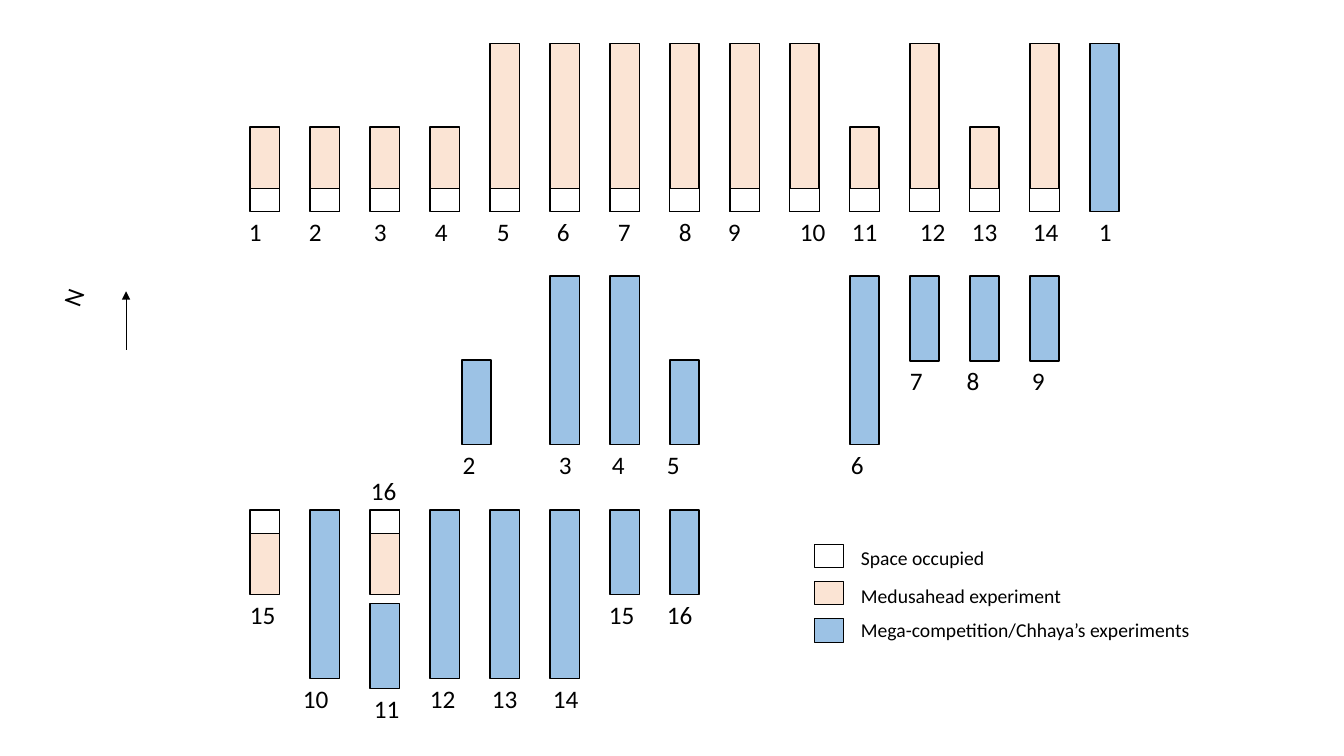
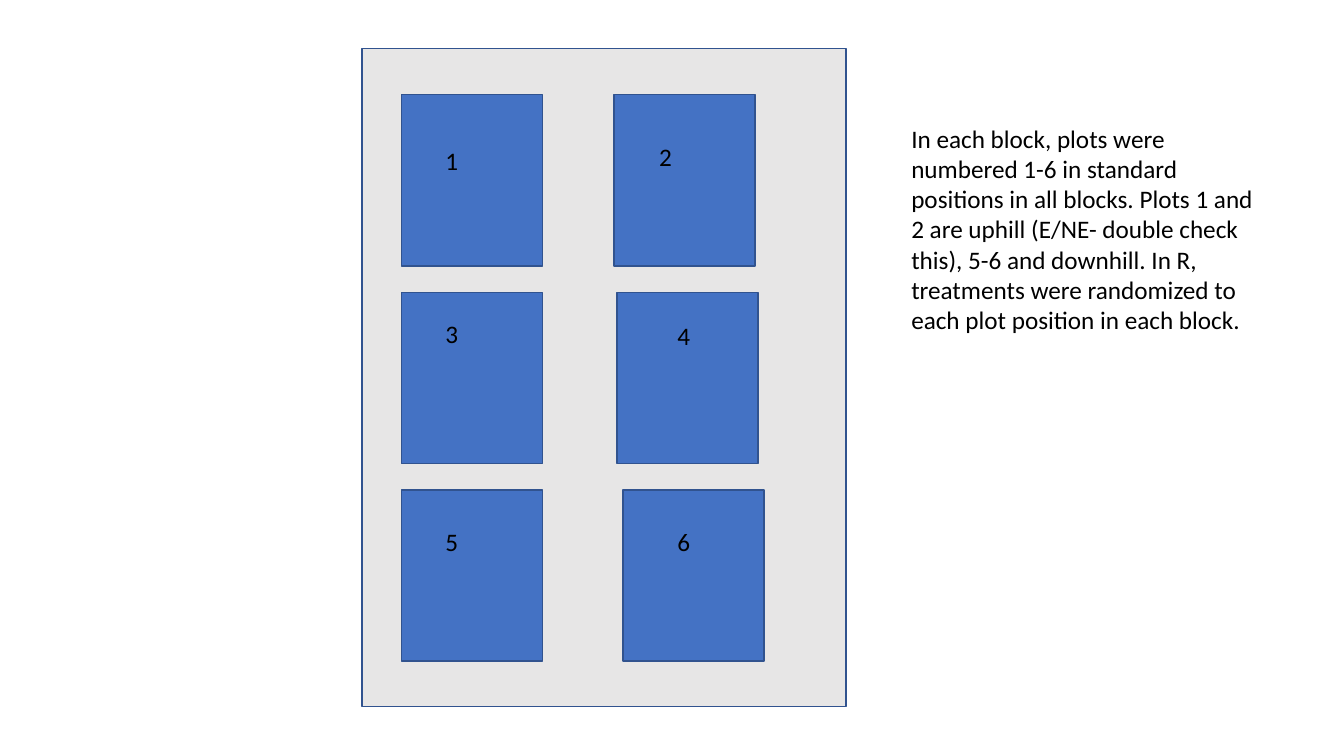
from lxml import etree
from pptx import Presentation
from pptx.dml.color import RGBColor
from pptx.enum.shapes import MSO_CONNECTOR, MSO_SHAPE
from pptx.oxml.ns import qn
from pptx.util import Inches, Pt

BLACK = RGBColor(0x00, 0x00, 0x00)
WHITE = RGBColor(0xFF, 0xFF, 0xFF)
PEACH = RGBColor(0xFB, 0xE4, 0xD4)
SKY = RGBColor(0x9C, 0xC2, 0xE5)
BLUE = RGBColor(0x44, 0x72, 0xC4)
NAVY = RGBColor(0x31, 0x53, 0x8F)
GREY = RGBColor(0xE7, 0xE6, 0xE6)
FONT = "Calibri"


def add_box(slide, left, top, width, height, fill, outline=BLACK, weight=1):
    box = slide.shapes.add_shape(MSO_SHAPE.RECTANGLE, Inches(left), Inches(top),
                                 Inches(width), Inches(height))
    box.shadow.inherit = False
    box.fill.solid()
    box.fill.fore_color.rgb = fill
    box.line.color.rgb = outline
    box.line.width = Pt(weight)


def add_label(slide, text, left, top, width=0.47, height=0.4, size=18):
    label = slide.shapes.add_textbox(Inches(left), Inches(top), Inches(width), Inches(height))
    label.text_frame.word_wrap = True
    label.text_frame.text = text
    font = label.text_frame.paragraphs[0].runs[0].font
    font.name = FONT
    font.size = Pt(size)
    font.color.rgb = BLACK
    return label


prs = Presentation()
prs.slide_width = Inches(13.33)
prs.slide_height = Inches(7.5)
blank_layout = prs.slide_layouts[6]

# Slide 1: field map, blocks standing on a grid of 15 columns
field_map = prs.slides.add_slide(blank_layout)
FIRST_COLUMN = 2.48
PITCH = (10.81 - FIRST_COLUMN) / 14
BLOCK_WIDTH = 0.29
LONG, SHORT = 1.67, 0.84
OCCUPIED = 0.23
NORTH, MIDDLE, SOUTH = 0.43, 2.74, 5.06
NORTH_SHORT = NORTH + LONG - SHORT
MIDDLE_SHORT = MIDDLE + LONG - SHORT

# column, top, length, number, shift of the number from the block's left edge
medusahead_blocks = [
    (0, NORTH_SHORT, SHORT, 1, -0.11),
    (1, NORTH_SHORT, SHORT, 2, -0.11),
    (2, NORTH_SHORT, SHORT, 3, -0.06),
    (3, NORTH_SHORT, SHORT, 4, -0.05),
    (4, NORTH, LONG, 5, -0.03),
    (5, NORTH, LONG, 6, -0.03),
    (6, NORTH, LONG, 7, -0.02),
    (7, NORTH, LONG, 8, -0.01),
    (8, NORTH, LONG, 9, -0.12),
    (9, NORTH, LONG, 10, 0),
    (10, NORTH_SHORT, SHORT, 11, -0.08),
    (11, NORTH, LONG, 12, 0),
    (12, NORTH_SHORT, SHORT, 13, -0.08),
    (13, NORTH, LONG, 14, -0.07),
    (0, SOUTH, SHORT, 15, -0.1),
    (2, SOUTH, SHORT, 16, -0.09),
]
competition_blocks = [
    (14, NORTH, LONG, 1, -0.01),
    (3.53, MIDDLE_SHORT, SHORT, 2, -0.09),
    (5, MIDDLE, LONG, 3, -0.01),
    (6, MIDDLE, LONG, 4, -0.08),
    (7, MIDDLE_SHORT, SHORT, 5, -0.13),
    (10, MIDDLE, LONG, 6, -0.09),
    (11, MIDDLE, SHORT, 7, -0.1),
    (12, MIDDLE, SHORT, 8, -0.13),
    (13, MIDDLE, SHORT, 9, -0.08),
    (1, SOUTH, LONG, 10, -0.17),
    (2, SOUTH + 0.93, SHORT, 11, -0.06),
    (3, SOUTH, LONG, 12, -0.1),
    (4, SOUTH, LONG, 13, -0.08),
    (5, SOUTH, LONG, 14, -0.07),
    (6, SOUTH, SHORT, 15, -0.11),
    (7, SOUTH, SHORT, 16, -0.13),
]

for blocks, colour in ((competition_blocks, SKY), (medusahead_blocks, PEACH)):
    for column, top, length, number, shift in blocks:
        left = FIRST_COLUMN + column * PITCH
        add_box(field_map, left, top, BLOCK_WIDTH, length, colour)
        number_top = top + length
        if colour == PEACH:
            # The occupied end faces the middle of the field
            occupied_top = top if top == SOUTH else top + length - OCCUPIED
            add_box(field_map, left, occupied_top, BLOCK_WIDTH, OCCUPIED, WHITE, weight=0.75)
            if number == 16:
                number_top = top - 0.39
        add_label(field_map, str(number), left + shift, number_top)

legend = [
    ("Space occupied", WHITE, 5.4, 5.37),
    ("Medusahead experiment", PEACH, 5.77, 5.74),
    ("Mega-competition/Chhaya’s experiments", SKY, 6.14, 6.08),
]
for meaning, colour, key_top, text_top in legend:
    add_box(field_map, 8.08, key_top, BLOCK_WIDTH, OCCUPIED, colour, weight=0.75)
    add_label(field_map, meaning, 8.44, text_top, 3.52, 0.34, size=14)

north_letter = add_label(field_map, "N", 0.54, 2.74, 0.37)
north_letter.rotation = 290.4
north_arrow = field_map.shapes.add_connector(
    MSO_CONNECTOR.STRAIGHT, Inches(1.25), Inches(3.47), Inches(1.25), Inches(2.89))
north_arrow.line.color.rgb = BLACK
north_arrow.line.width = Pt(0.75)
etree.SubElement(north_arrow.line._get_or_add_ln(), qn("a:tailEnd"), type="triangle")
etree.SubElement(north_arrow._element.spPr, qn("a:effectLst"))

# Slide 2: plot positions within one block
block_plan = prs.slides.add_slide(blank_layout)
add_box(block_plan, 3.59, 0.48, 4.8, 6.53, GREY, NAVY)

PLOT_WIDTH, PLOT_HEIGHT = 1.4, 1.7
FIRST_ROW, ROW_PITCH = 0.94, 1.96
# plot left, number left, number top
plots = [
    (3.98, 4.32, 1.39), (6.09, 6.44, 1.35),
    (3.98, 4.32, 3.11), (6.12, 6.62, 3.13),
    (3.98, 4.32, 5.17), (6.18, 6.62, 5.17),
]
for index, (plot_left, number_left, number_top) in enumerate(plots):
    plot_top = FIRST_ROW + index // 2 * ROW_PITCH
    add_box(block_plan, plot_left, plot_top, PLOT_WIDTH, PLOT_HEIGHT, BLUE, NAVY)
    add_label(block_plan, str(index + 1), number_left, number_top, 0.87)

add_label(
    block_plan,
    "In each block, plots were numbered 1-6 in standard positions in all blocks. "
    "Plots 1 and 2 are uphill (E/NE- double check this), 5-6 and downhill. "
    "In R, treatments were randomized to each plot position in each block.",
    8.94, 1.17, 3.64, 2.22)

prs.save("out.pptx")
